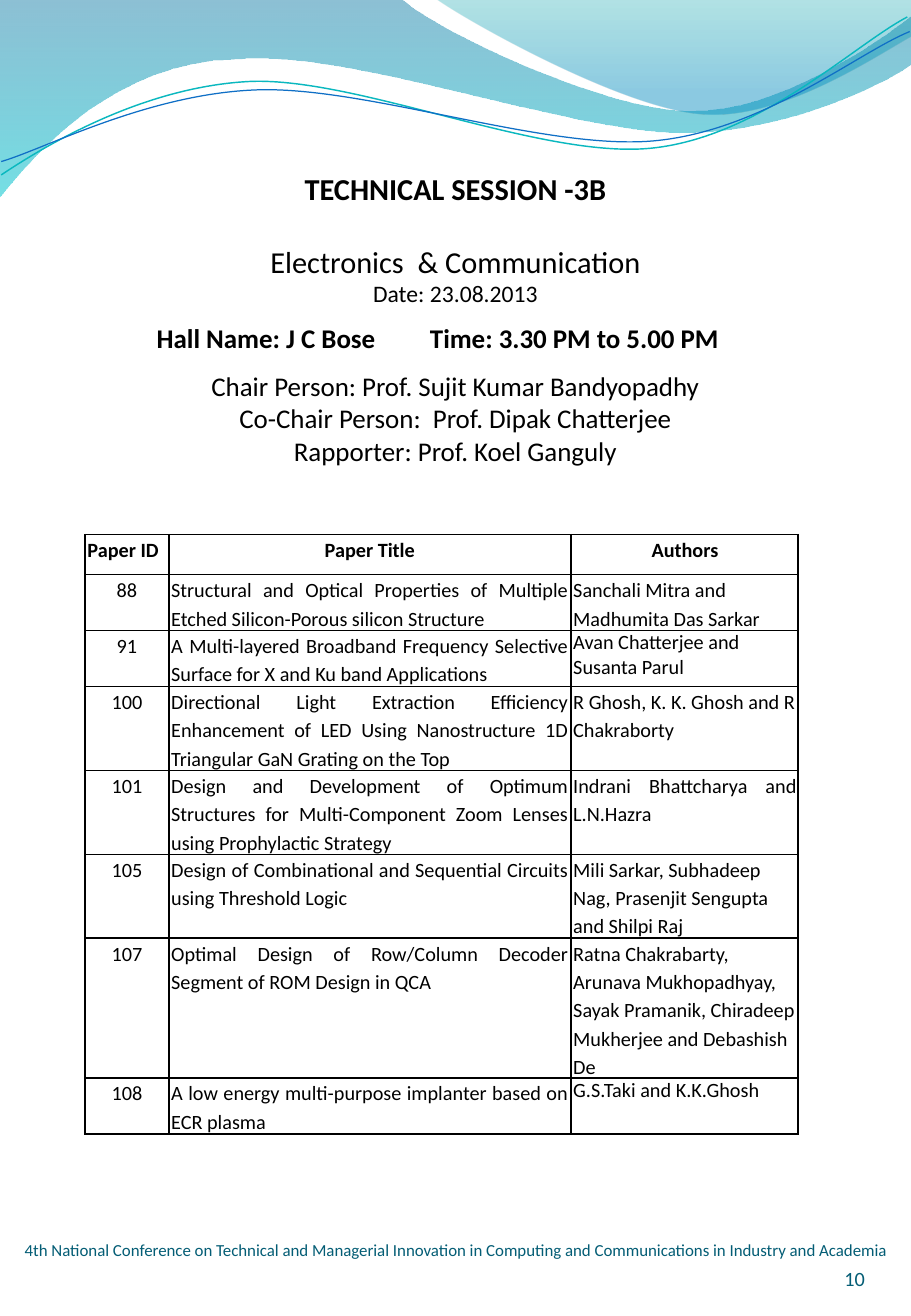
from lxml import etree
from pptx import Presentation
from pptx.dml.color import RGBColor
from pptx.enum.text import MSO_ANCHOR, MSO_AUTO_SIZE, PP_ALIGN
from pptx.oxml.ns import qn
from pptx.util import Inches, Pt

LEFT, CENTER, RIGHT, JUSTIFY = PP_ALIGN.LEFT, PP_ALIGN.CENTER, PP_ALIGN.RIGHT, PP_ALIGN.JUSTIFY
TOP, BOTTOM = MSO_ANCHOR.TOP, MSO_ANCHOR.BOTTOM
BLACK, TEAL = "000000", "045D75"


def color(value):
    return RGBColor.from_string(value)


def write(frame, lines, align, ink=BLACK, spacing=1.0):
    """Fill a text frame with (text, size, bold, space before) lines."""
    frame.word_wrap = True
    for index, (text, size, bold, before) in enumerate(lines):
        para = frame.add_paragraph() if index else frame.paragraphs[0]
        para.alignment = align
        para.line_spacing = spacing
        para.space_before = Pt(before)
        span = para.add_run()
        span.text = text
        span.font.name = "Calibri"
        span.font.size = Pt(size)
        span.font.bold = bold
        span.font.color.rgb = color(ink)


deck = Presentation()
deck.slide_width, deck.slide_height = Inches(7.5), Inches(10.83)
page = deck.slides.add_slide(deck.slide_layouts[5])

# Header waves: each segment is a line (2 numbers) or a cubic curve (6 numbers).
# Fill stops are (position, colour, opacity in percent).
waves = [
    {"start": (0, -0.01),
     "segments": [(3.3, -0.01), (3.57, 0.24, 4.98, 0.91, 5.69, 0.91),
                  (6.4, 0.91, 7.19, 0.37, 7.5, 0.13), (7.51, 0.52),
                  (7.38, 0.63, 6.52, 1.09, 5.59, 1.09),
                  (4.66, 1.08, 2.86, 0.4, 1.93, 0.49),
                  (0.97, 0.51, 0.34, 1.2, -0.01, 1.63)],
     "stops": [(0, "0074A1", 45), (1, "00C6CF", 55)]},
    {"start": (3.59, -0.01),
     "segments": [(3.82, 0.16, 5.11, 0.89, 5.77, 0.94),
                  (6.42, 1, 7.21, 0.46, 7.5, 0.3), (7.5, 0)],
     "stops": [(0, "00A1A9", 30), (0.8, "008BBF", 45)]},
    {"start": (0.01, 1.44),
     "segments": [(0.37, 1.2, 1.18, 0.71, 2.07, 0.67),
                  (2.96, 0.64, 4.46, 1.31, 5.36, 1.22),
                  (6.26, 1.13, 7.03, 0.37, 7.47, 0.14)],
     "line": ("0AB8BF", 0.85)},
    {"start": (0.01, 1.33),
     "segments": [(0.36, 1.23, 1.22, 0.77, 2.12, 0.74),
                  (3.02, 0.71, 4.49, 1.24, 5.38, 1.16),
                  (6.28, 1.08, 7.05, 0.44, 7.49, 0.26)],
     "line": ("0F6FC6", 0.75)},
]
for wave in waves:
    start_x, start_y = wave["start"]
    builder = page.shapes.build_freeform(Inches(start_x), Inches(start_y))
    builder.add_line_segments([(Inches(segment[-2]), Inches(segment[-1]))
                               for segment in wave["segments"]], close="stops" in wave)
    shape = builder.convert_to_shape()
    shape.shadow.inherit = False
    # Turn the straight steps of curved segments into cubic curves
    for step, segment in zip(list(shape.element.iter(qn("a:lnTo"))), wave["segments"]):
        if len(segment) == 6:
            curve = etree.Element(qn("a:cubicBezTo"))
            for x, y in zip(segment[::2], segment[1::2]):
                etree.SubElement(curve, qn("a:pt"), x=str(Inches(x) - shape.left),
                                 y=str(Inches(y) - shape.top))
            step.getparent().replace(step, curve)
    if "stops" in wave:
        shape.line.fill.background()
        shape.fill.gradient()
        shape.fill.gradient_angle = 270
        for stop, (position, tint, opacity) in zip(shape.fill.gradient_stops, wave["stops"]):
            stop.position = position
            stop.color.rgb = color(tint)
        for node, (position, tint, opacity) in zip(
                shape.element.iter(qn("a:srgbClr")), wave["stops"]):
            etree.SubElement(node, qn("a:alpha"), val=str(opacity * 1000))
    else:
        ink, width = wave["line"]
        shape.fill.background()
        shape.line.color.rgb = color(ink)
        shape.line.width = Pt(width)

# Session heading
title = page.shapes.title
title.left, title.top, title.width, title.height = Inches(0), Inches(1.35), Inches(7.5), Inches(1.28)
title.text_frame.auto_size = MSO_AUTO_SIZE.NONE
title.text_frame.vertical_anchor = TOP
write(title.text_frame, [("TECHNICAL SESSION -3B", 18, True, 0),
                         ("Electronics  & Communication", 18, False, 21.5),
                         ("Date: 23.08.2013", 14, False, 0)], CENTER)

# Hall and time, people, footer, page number
hall = [("Hall Name: J C Bose\tTime: 3.30 PM to 5.00 PM", 16, True, 0)]
people = [(name, 16, False, 0) for name in (
    "Chair Person: Prof. Sujit Kumar Bandyopadhy",
    "Co-Chair Person:  Prof. Dipak Chatterjee",
    "Rapporter: Prof. Koel Ganguly")]
footer = [("4th National Conference on Technical and Managerial Innovation in Computing "
           "and Communications in Industry and Academia", 10, False, 0)]
number = [("10", 12, False, 0)]
# left, top, width, height, lines, alignment, ink, anchor, side inset, top and bottom inset
blocks = [
    (0, 2.6, 7.5, 0.37, hall, LEFT, BLACK, TOP, 1.29, 0.05),
    (0, 2.99, 7.5, 1.18, people, CENTER, BLACK, TOP, 0.1, 0.05),
    (0, 9.79, 7.5, 0.58, footer, CENTER, TEAL, BOTTOM, 0, 0),
    (6.5, 10.04, 0.62, 0.58, number, RIGHT, TEAL, BOTTOM, 0, 0),
]
for left, top, width, height, lines, align, ink, anchor, side, inset in blocks:
    box = page.shapes.add_textbox(Inches(left), Inches(top), Inches(width), Inches(height))
    frame = box.text_frame
    frame.margin_left = frame.margin_right = Inches(side)
    frame.margin_top = frame.margin_bottom = Inches(inset)
    frame.vertical_anchor = anchor
    write(frame, lines, align, ink)
    if lines is hall:
        properties = box.element.find(".//" + qn("a:pPr"))
        tabs = etree.SubElement(properties, qn("a:tabLst"))
        etree.SubElement(tabs, qn("a:tab"), pos=str(Inches(2.25)), algn="l")

# Papers: id, title, authors, text lines, authors' alignment and line spacing
papers = [
    ("88", "Structural and Optical Properties of Multiple Etched Silicon-Porous silicon Structure",
     "Sanchali Mitra and Madhumita Das Sarkar", 2, LEFT, 1.15),
    ("91", "A Multi-layered Broadband Frequency Selective Surface for X and Ku band Applications",
     "Avan Chatterjee and Susanta Parul", 2, LEFT, 1.0),
    ("100", "Directional Light Extraction Efficiency Enhancement of LED Using Nanostructure 1D "
     "Triangular GaN Grating on the Top", "R Ghosh, K. K. Ghosh and R Chakraborty", 3, LEFT, 1.15),
    ("101", "Design and Development of Optimum Structures for Multi-Component Zoom Lenses using "
     "Prophylactic Strategy", "Indrani Bhattcharya and L.N.Hazra", 3, JUSTIFY, 1.15),
    ("105", "Design of Combinational and Sequential Circuits using Threshold Logic",
     "Mili Sarkar, Subhadeep Nag, Prasenjit Sengupta and Shilpi Raj", 3, LEFT, 1.15),
    ("107", "Optimal Design of Row/Column Decoder Segment of ROM Design in QCA",
     "Ratna Chakrabarty, Arunava Mukhopadhyay, Sayak Pramanik, Chiradeep Mukherjee "
     "and Debashish De", 5, LEFT, 1.15),
    ("108", "A low energy multi-purpose implanter based on ECR plasma",
     "G.S.Taki and K.K.Ghosh", 2, LEFT, 1.0),
]
header = ("Paper ID", "Paper Title", "Authors")
rows = [(header, 0.33, (JUSTIFY, CENTER, CENTER), 1.15)]
for paper_id, name, authors, count, align, spacing in papers:
    rows.append(((paper_id, name, authors), 0.23 * count, (CENTER, JUSTIFY, align), spacing))

table = page.shapes.add_table(len(rows), len(header), Inches(0.7), Inches(4.4),
                              Inches(5.87), Inches(4.93)).table
for column, width in zip(table.columns, (0.69, 3.31, 1.87)):
    column.width = Inches(width)
for row_index, (texts, height, aligns, author_spacing) in enumerate(rows):
    table.rows[row_index].height = Inches(height)
    for column_index, text in enumerate(texts):
        is_author = column_index == 2
        cell = table.cell(row_index, column_index)
        cell.margin_left = Inches(0.02)
        cell.margin_right = Inches(0.01 if is_author else 0.02)
        cell.margin_top = cell.margin_bottom = 0
        write(cell.text_frame, [(text, 12, row_index == 0, 0)], aligns[column_index],
              spacing=author_spacing if is_author else 1.15)
        borders = cell._tc.get_or_add_tcPr()
        for side in ("a:lnL", "a:lnR", "a:lnT", "a:lnB"):
            edge = etree.SubElement(borders, qn(side), w=str(Pt(1)))
            solid = etree.SubElement(edge, qn("a:solidFill"))
            etree.SubElement(solid, qn("a:srgbClr"), val=BLACK)
        cell.fill.background()

deck.save("out.pptx")
